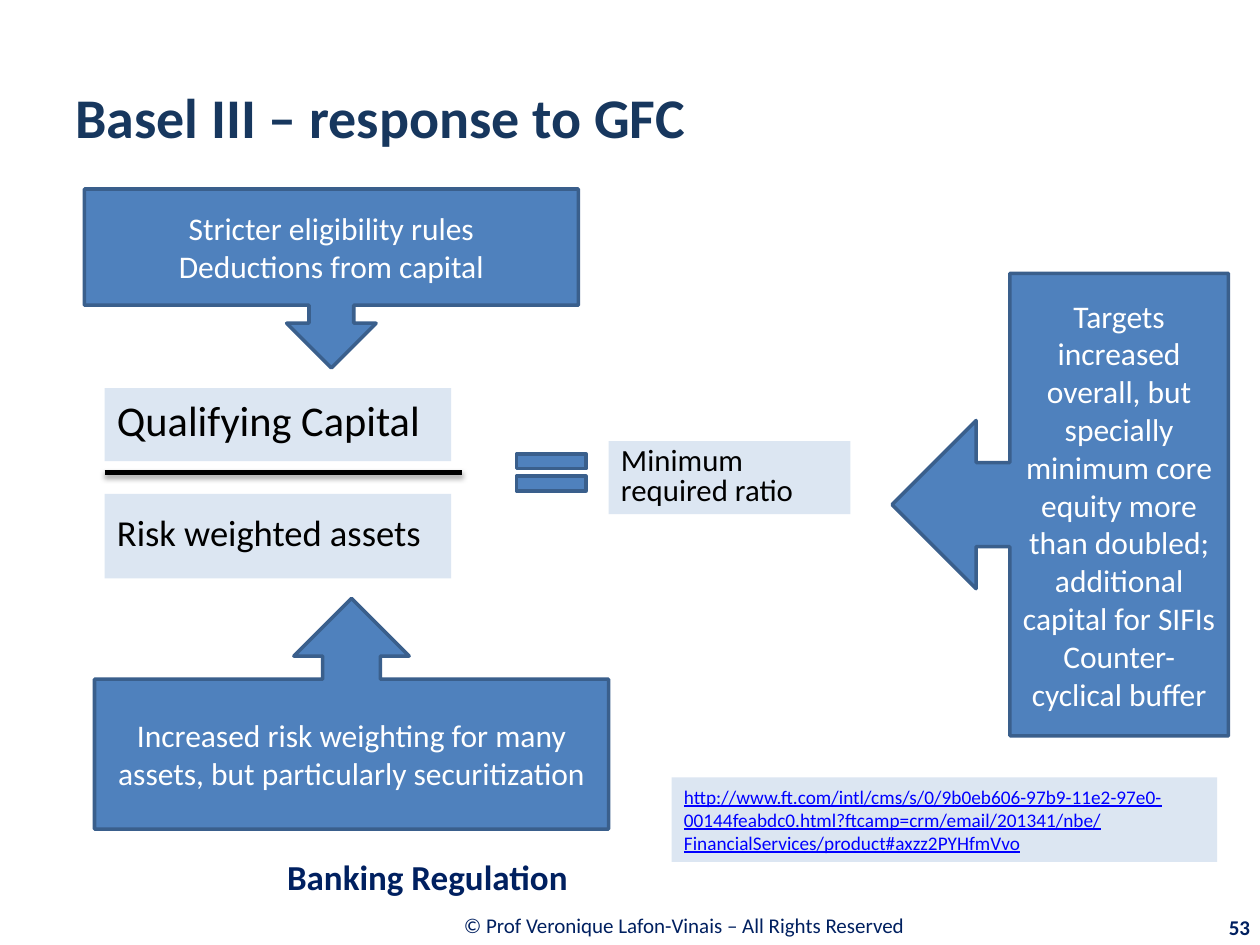
from lxml import etree
from pptx import Presentation
from pptx.dml.color import RGBColor
from pptx.enum import shapes, text
from pptx.oxml import ns
from pptx.util import Inches, Pt

KIND = shapes.MSO_SHAPE
ALIGN = text.PP_ALIGN
NAVY, BLUE, EDGE, PALE = "002060", "4F81BD", "3A5F8C", "DCE6F2"
BLACK, WHITE, LINK = "000000", "FFFFFF", "0000FF"


def paint(target, color):
    if hasattr(target, "solid"):
        target.solid()
        target = target.fore_color
    target.rgb = RGBColor.from_string(color)


def write(shape, lines, size, color, align=ALIGN.LEFT, bold=False,
          under=False, space=None):
    frame = shape.text_frame
    frame.word_wrap = True
    frame.vertical_anchor = text.MSO_ANCHOR.MIDDLE
    for i, line in enumerate(lines):
        para = frame.add_paragraph() if i else frame.paragraphs[0]
        para.alignment = align
        if space:
            para.line_spacing = space
        run = para.add_run()
        run.text = line
        font = run.font
        font.name, font.size = "Calibri", Pt(size)
        font.bold, font.underline = bold, under
        paint(font.color, color)


def label(slide, box, line, size, color, **style):
    shape = slide.shapes.add_textbox(*map(Inches, box))
    write(shape, [line], size, color, **style)


def block(slide, kind, box, fill, edge=None):
    shape = slide.shapes.add_shape(kind, *map(Inches, box))
    shape.shadow.inherit = False
    paint(shape.fill, fill)
    if edge:
        paint(shape.line.fill, edge)
        shape.line.width = Pt(2)
    else:
        shape.line.fill.background()
    return shape


def panel(slide, box, line, size, color=BLACK, **style):
    write(block(slide, KIND.RECTANGLE, box, PALE), [line], size, color, **style)


def callout(slide, kind, box, lines):
    shape = block(slide, kind, box, BLUE, EDGE)
    write(shape, lines, 18, WHITE, align=ALIGN.CENTER)


def divide(slide, left, right, top):
    line = slide.shapes.add_connector(
        shapes.MSO_CONNECTOR.STRAIGHT, *map(Inches, (left, top, right, top)))
    paint(line.line.fill, BLACK)
    line.line.width = Pt(3)
    props = line._element.spPr
    effect = etree.SubElement(props, ns.qn("a:effectLst"))
    shade = etree.SubElement(
        effect, ns.qn("a:outerShdw"), blurRad=str(Pt(3.1)),
        dist=str(Pt(1.8)), dir="5400000", rotWithShape="0")
    tint = etree.SubElement(shade, ns.qn("a:srgbClr"), val=BLACK)
    etree.SubElement(tint, ns.qn("a:alpha"), val="35000")


def main():
    deck = Presentation()
    deck.slide_width, deck.slide_height = Inches(10), Inches(7.5)
    slide = deck.slides.add_slide(deck.slide_layouts[6])

    label(slide, (2.19, 7.15, 6.48, 0.39),
          "© Prof Veronique Lafon-Vinais – All Rights Reserved", 12, NAVY,
          align=ALIGN.CENTER)
    label(slide, (0.5, 0.3, 9, 1.25), "Basel III – response to GFC", 32,
          "17375E", bold=True)
    label(slide, (9.01, 7.2, 1.01, 0.32), "53", 12, NAVY,
          align=ALIGN.RIGHT, bold=True)
    label(slide, (2.18, 6.72, 7.82, 0.47), "Banking Regulation", 20, NAVY,
          bold=True)

    panel(slide, (0.83, 3.08, 2.75, 0.58), "Qualifying Capital", 24.2, space=0.8)
    panel(slide, (0.83, 3.92, 2.75, 0.67), "Risk weighted assets", 20.9, space=0.8)
    divide(slide, 0.83, 3.67, 3.75)
    block(slide, KIND.MATH_EQUAL, (4, 3.5, 0.75, 0.5), BLUE, EDGE)
    panel(slide, (4.83, 3.5, 1.92, 0.58), "Minimum required ratio", 17.6, space=0.8)

    callout(slide, KIND.DOWN_ARROW_CALLOUT, (0.67, 1.5, 3.92, 1.42),
            ["Stricter eligibility rules", "Deductions from capital"])
    callout(slide, KIND.UP_ARROW_CALLOUT, (0.75, 4.75, 4.08, 1.83),
            ["Increased risk weighting for many assets, "
             "but particularly securitization"])
    callout(slide, KIND.LEFT_ARROW_CALLOUT, (7.08, 2.17, 2.67, 3.67),
            ["Targets increased overall, but specially minimum core equity "
             "more than doubled; additional capital for SIFIs",
             "Counter-cyclical buffer"])
    panel(slide, (5.33, 6.17, 4.33, 0.67),
          "http://www.ft.com/intl/cms/s/0/9b0eb606-97b9-11e2-97e0-"
          "00144feabdc0.html?ftcamp=crm/email/201341/nbe/"
          "FinancialServices/product#axzz2PYHfmVvo", 11, LINK, under=True)
    deck.save("out.pptx")


if __name__ == "__main__":
    main()
